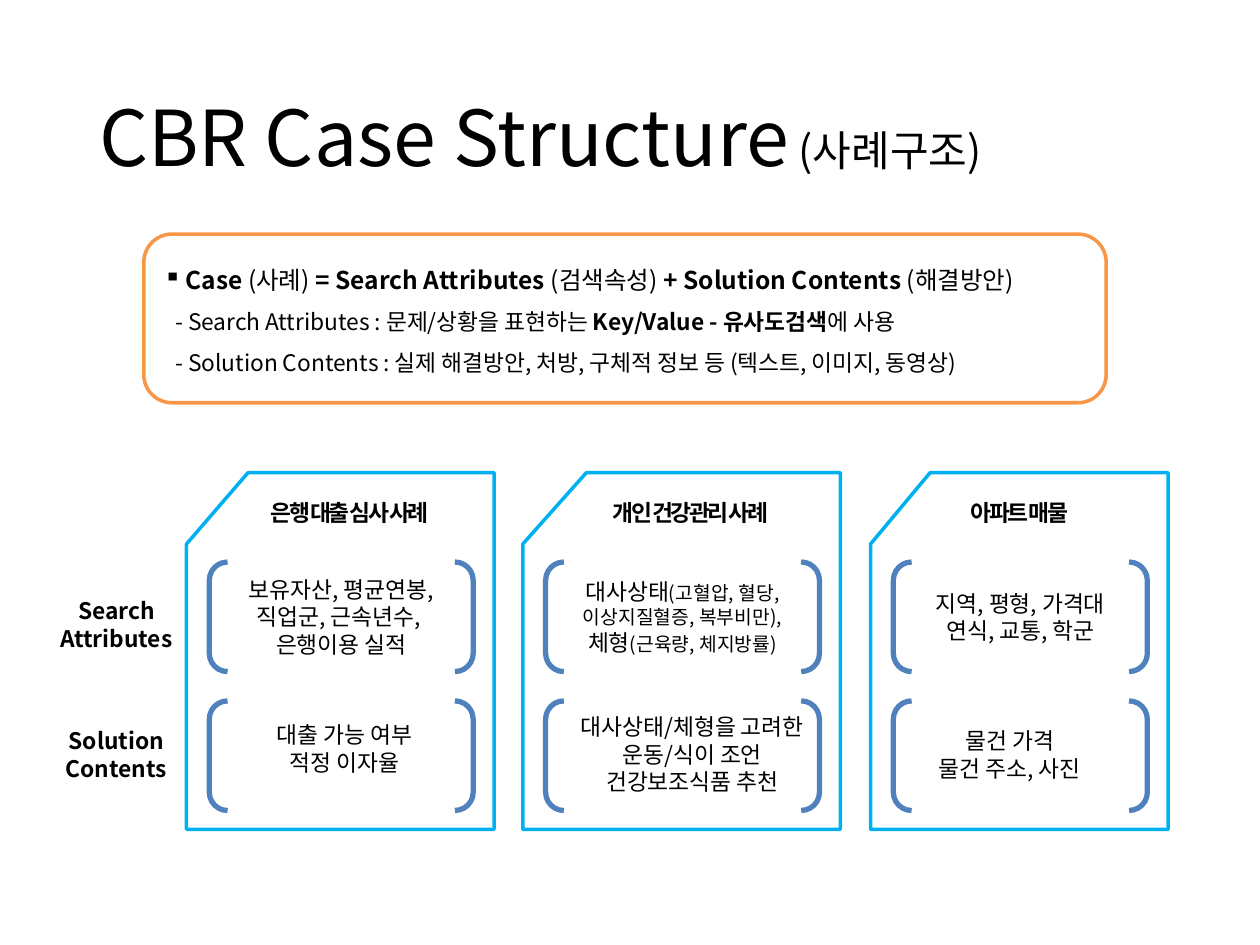
from lxml import etree
from pptx import Presentation
from pptx.dml.color import RGBColor
from pptx.enum.shapes import MSO_SHAPE as SHAPE
from pptx.enum.text import MSO_ANCHOR as ANCHOR, PP_ALIGN as ALIGN
from pptx.oxml.ns import qn
from pptx.util import Cm, Pt

FONT = "Noto Sans CJK KR"
COLORS = {"text": "000000", "summary": "F79646", "bracket": "4F81BD", "card": "00B0F0"}


def rgb(name):
    return RGBColor.from_string(COLORS[name])


def set_font(p, size, bold):
    """Set Latin and East Asian fonts for a whole paragraph."""
    f = p.font
    f.name, f.size, f.bold = FONT, Pt(size), bold
    f.color.rgb = rgb("text")
    r_pr = p._p.pPr.find(qn("a:defRPr"))
    etree.SubElement(r_pr, qn("a:ea"), typeface=FONT)


def write(tf, paragraphs, size=13, bold=False, align=ALIGN.CENTER,
          line_spacing=None, spacing=None):
    """Fill a frame; a paragraph is a list of (text, size or None, bold or None) runs or a string."""
    for i, runs in enumerate(paragraphs):
        p = tf.paragraphs[0] if i == 0 else tf.add_paragraph()
        p.alignment = align
        if line_spacing:
            p.line_spacing = line_spacing
        set_font(p, size, bold)
        for text, run_size, run_bold in [(runs, None, None)] if isinstance(runs, str) else runs:
            if text == "\n":
                p.add_line_break()
                continue
            r = p.add_run()
            r.text = text
            if run_size:
                r.font.size = Pt(run_size)
            if run_bold is not None:
                r.font.bold = run_bold
            r_pr = r._r.get_or_add_rPr()
            etree.SubElement(r_pr, qn("a:ea"), typeface=FONT)
            if spacing:
                r_pr.set("spc", str(spacing))


def add_text(s, x, y, w, h, paragraphs, anchor=ANCHOR.TOP, wrap=True, **style):
    tf = s.shapes.add_textbox(Cm(x), Cm(y), Cm(w), Cm(h)).text_frame
    tf.word_wrap = wrap
    tf.vertical_anchor = anchor
    write(tf, paragraphs, **style)
    return tf


def add_outline(s, kind, x, y, w, h, color, width):
    sp = s.shapes.add_shape(kind, Cm(x), Cm(y), Cm(w), Cm(h))
    sp.shadow.inherit = False
    sp.fill.background()
    sp.line.color.rgb = rgb(color)
    sp.line.width = Pt(width)
    return sp


def set_indent(p, left, first=0):
    p_pr = p._p.get_or_add_pPr()
    p_pr.set("marL", str(Cm(left)))
    p_pr.set("indent", str(Cm(first)))
    return p_pr


def add_title(s, x, y, w, h):
    add_text(s, x, y, w, h, [[("CBR Case Structure", None, None), (" (사례구조)", 24, None)]],
             anchor=ANCHOR.MIDDLE, size=44, align=ALIGN.LEFT, line_spacing=0.9)


def add_summary(s, x, y, w, h):
    add_outline(s, SHAPE.ROUNDED_RECTANGLE, x, y, w, h, "summary", 2)
    tf = add_text(s, x + 0.15, y + 0.2, w - 0.3, h - 0.4, [
        [("Case ", 14, True), ("(사례) ", 14, None), ("= Search Attributes ", 14, True),
         ("(검색속성) ", 14, None), ("+ Solution Contents", 14, True), (" (해결방안)", 14, None)],
        [("- Search Attributes : 문제/상황을 표현하는 ", None, None),
         ("Key/Value - 유사도검색", None, True), ("에 사용", None, None)],
        "- Solution Contents : 실제 해결방안, 처방, 구체적 정보 등 (텍스트, 이미지, 동영상)",
    ], wrap=False, align=ALIGN.LEFT, line_spacing=1.5)
    head, *details = tf.paragraphs
    bullet = etree.Element(qn("a:buChar"), char="▪")
    set_indent(head, 0.44, -0.44).find(qn("a:defRPr")).addprevious(bullet)
    for p in details:
        set_indent(p, 0.23)


def add_card(s, x, y, w, h, title, title_dx, attributes, solution, solution_box):
    """Draw a case card; solution_box is (dx, dy, width) from the card's corner."""
    add_outline(s, SHAPE.FLOWCHART_CARD, x, y, w, h, "card", 2)
    add_text(s, x + title_dx, y + 0.4, w, 0.81, [title], bold=True, spacing=-140)
    search, _ = [add_outline(s, SHAPE.DOUBLE_BRACKET, x + 0.46, y + dy, w - 0.88, 2.21,
                             "bracket", 3) for dy in (1.8, 4.6)]
    search.text_frame.word_wrap = True
    search.text_frame.vertical_anchor = ANCHOR.MIDDLE
    write(search.text_frame, attributes)
    dx, dy, width = solution_box
    add_text(s, x + dx, y + dy, width, 1.93, solution)


def add_row_labels(s, x, y, w, row_step):
    for i, label in enumerate(("Search Attributes", "Solution Contents")):
        add_text(s, x, y + i * row_step, w, 1.37, [label], bold=True)


def main():
    prs = Presentation()
    prs.slide_width, prs.slide_height = Cm(25.4), Cm(19.05)
    s = prs.slides.add_slide(prs.slide_layouts[6])
    add_title(s, 1.75, 1.02, 21.9, 3.68)
    add_summary(s, 2.9, 4.72, 19.4, 3.4)
    add_row_labels(s, 0.72, 11.91, 3.25, 2.62)

    health = [[("대사상태", None, None), ("(고혈압, 혈당, 이상지질혈증, 복부비만),", 11, None),
               ("\n", None, None), ("체형", None, None), ("(근육량, 체지방률)", 11, None)]]
    cards = [
        (3.76, 6.2, "은행 대출 심사 사례", 0.19,
         ["보유자산, 평균연봉,", "직업군, 근속년수, ", "은행이용 실적"],
         ["대출 가능 여부", "적정 이자율"], (0.99, 4.88, 4.39)),
        (10.54, 6.4, "개인 건강관리 사례", 0.18, health,
         ["대사상태/체형을 고려한 운동/식이 조언", "건강보조식품 추천"], (0.81, 4.72, 5.21)),
        (17.55, 6.0, "아파트 매물", 0,
         ["지역, 평형, 가격대", "연식, 교통, 학군"],
         ["물건 가격", "물건 주소, 사진"], (0.61, 5.0, 4.39)),
    ]
    for x, w, *content in cards:
        add_card(s, x, 9.53, w, 7.19, *content)
    prs.save("out.pptx")


if __name__ == "__main__":
    main()
